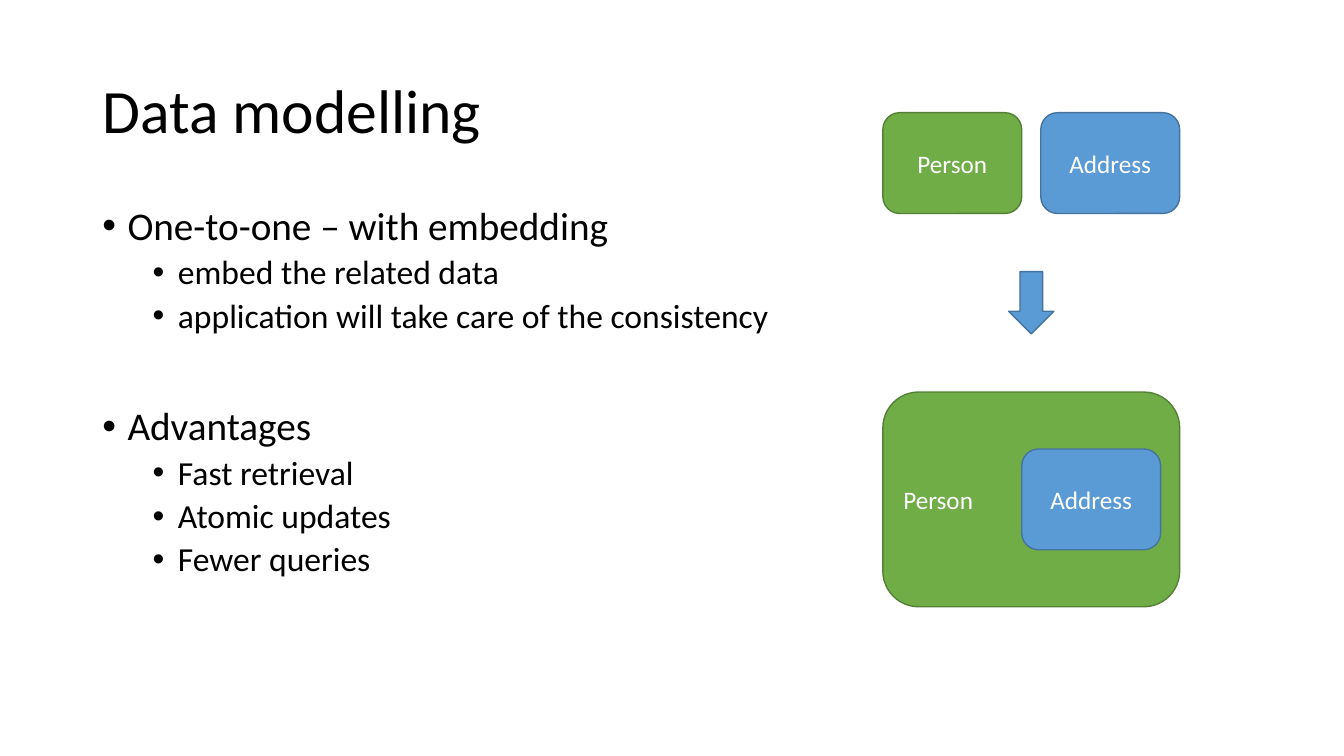
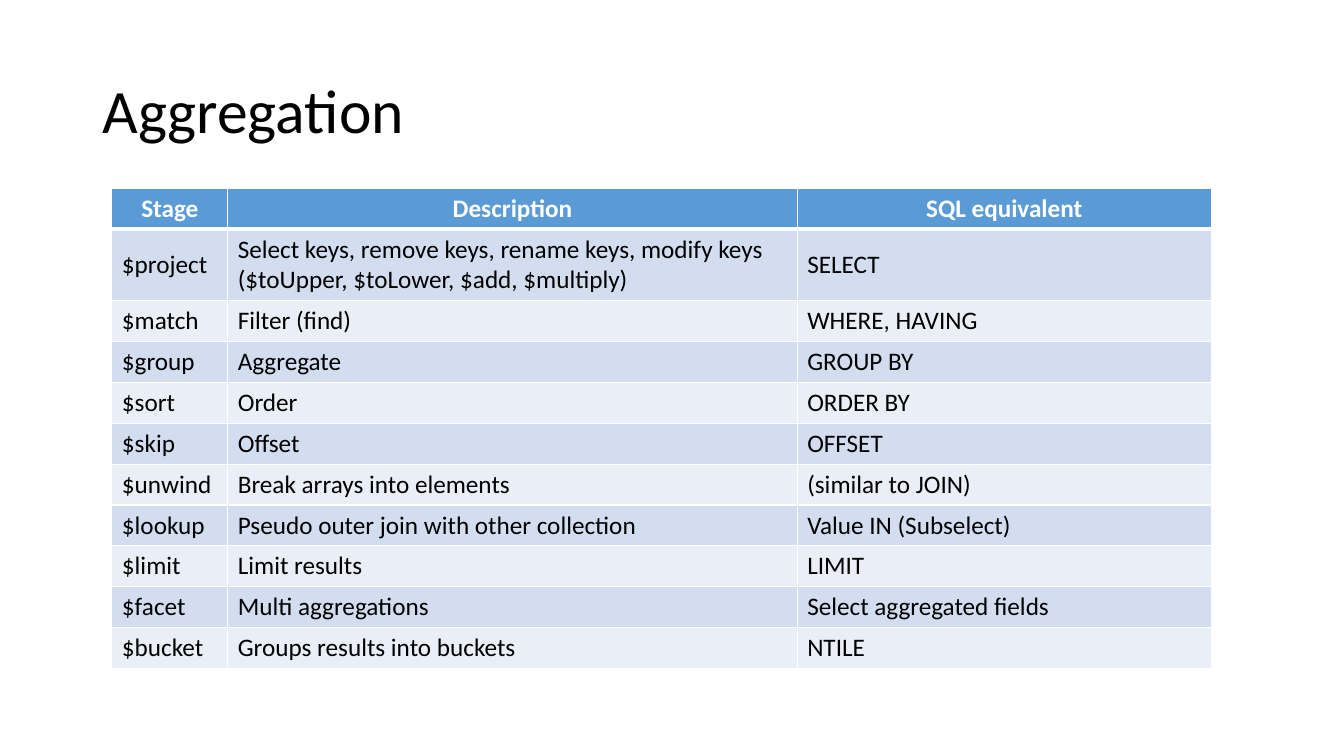
from lxml import etree
from pptx import Presentation
from pptx.dml.color import RGBColor
from pptx.enum.shapes import MSO_SHAPE
from pptx.enum.text import MSO_ANCHOR, MSO_AUTO_SIZE, PP_ALIGN
from pptx.oxml.ns import qn
from pptx.util import Cm, Pt

ROUNDED = MSO_SHAPE.ROUNDED_RECTANGLE
DOWN_ARROW = MSO_SHAPE.DOWN_ARROW
MIDDLE = MSO_ANCHOR.MIDDLE
LEFT, CENTER = PP_ALIGN.LEFT, PP_ALIGN.CENTER
NO_AUTOFIT = MSO_AUTO_SIZE.NONE

FONT = "Calibri"
BLACK, WHITE = "000000", "FFFFFF"
GREEN, GREEN_EDGE = "70AD47", "538035"
BLUE, BLUE_EDGE = "5B9BD5", "43739E"
BAND_DARK, BAND_LIGHT = "D2DEEF", "EAEFF7"

TEXT_LEFT, TEXT_WIDTH = 2.33, 29.21
LINE_SPACING = 0.9
BULLET_HANGING = 0.635
LEVELS = [
    {"size": 28, "before": 10, "indent": 0.635},
    {"size": 24, "before": 5, "indent": 1.905},
]
SECTION_GAP = 51

SECTIONS = [
    ("One-to-one – with embedding",
     ["embed the related data", "application will take care of the consistency"]),
    ("Advantages", ["Fast retrieval", "Atomic updates", "Fewer queries"]),
]

STAGES = [
    ("Stage", "Description", "SQL equivalent"),
    ("$project",
     "Select keys, remove keys, rename keys, modify keys\n($toUpper, $toLower, $add, $multiply)",
     "SELECT"),
    ("$match", "Filter (find)", "WHERE, HAVING"),
    ("$group", "Aggregate", "GROUP BY"),
    ("$sort", "Order", "ORDER BY"),
    ("$skip", "Offset", "OFFSET"),
    ("$unwind", "Break arrays into elements", "(similar to JOIN)"),
    ("$lookup", "Pseudo outer join with other collection", "Value IN (Subselect)"),
    ("$limit", "Limit results", "LIMIT"),
    ("$facet", "Multi aggregations", "Select aggregated fields"),
    ("$bucket", "Groups results into buckets", "NTILE"),
]
COLUMN_WIDTHS = [2.92, 14.35, 10.44]
ROW_HEIGHT, TWO_LINE_HEIGHT = 1.03, 1.79


def rgb(value):
    """Turn a hex string into a colour."""
    return RGBColor.from_string(value)


def place(shape, left, top, width, height):
    """Position a shape by lengths in centimetres."""
    shape.left, shape.top = Cm(left), Cm(top)
    shape.width, shape.height = Cm(width), Cm(height)


def add_run(paragraph, text, size, color, bold=False):
    """Append one formatted run."""
    run = paragraph.add_run()
    run.text = text
    run.font.name = FONT
    run.font.size = Pt(size)
    run.font.bold = bold
    run.font.color.rgb = rgb(color)


def add_titled_slide(prs, title):
    """Add a title-only slide in the shared title style."""
    slide = prs.slides.add_slide(prs.slide_layouts[5])
    heading = slide.shapes.title
    place(heading, TEXT_LEFT, 1.02, TEXT_WIDTH, 3.68)
    frame = heading.text_frame
    frame.auto_size = NO_AUTOFIT
    frame.vertical_anchor = MIDDLE
    paragraph = frame.paragraphs[0]
    paragraph.alignment = LEFT
    paragraph.line_spacing = LINE_SPACING
    add_run(paragraph, title, 44, BLACK)
    return slide


def format_bullet(paragraph, level, before):
    """Give a paragraph its bullet, hanging indent and spacing."""
    paragraph.level = level
    paragraph.line_spacing = LINE_SPACING
    paragraph.space_before = Pt(before)
    properties = paragraph._p.get_or_add_pPr()
    properties.set("marL", str(Cm(LEVELS[level]["indent"])))
    properties.set("indent", str(-Cm(BULLET_HANGING)))
    etree.SubElement(properties, qn("a:buFont"), typeface="Arial")
    etree.SubElement(properties, qn("a:buChar"), char="•")


def add_outline(slide, sections):
    """Add the two-level bullet list."""
    outline = slide.shapes.add_textbox(0, 0, 0, 0)
    place(outline, TEXT_LEFT, 5.08, 19.5, 12.09)
    frame = outline.text_frame
    frame.word_wrap = True
    entries = [(level, text) for heading, points in sections
               for level, text in [(0, heading)] + [(1, point) for point in points]]
    for index, (level, text) in enumerate(entries):
        paragraph = frame.add_paragraph() if index else frame.paragraphs[0]
        starts_later_section = index and level == 0
        before = SECTION_GAP if starts_later_section else LEVELS[level]["before"]
        format_bullet(paragraph, level, before)
        add_run(paragraph, text, LEVELS[level]["size"], BLACK)


def add_block(slide, kind, box, fill, edge, label="", alignment=CENTER):
    """Add a filled, outlined shape with an optional label."""
    block = slide.shapes.add_shape(kind, 0, 0, 0, 0)
    place(block, *box)
    block.shadow.inherit = False
    block.fill.solid()
    block.fill.fore_color.rgb = rgb(fill)
    block.line.color.rgb = rgb(edge)
    block.line.width = Pt(1)
    if label:
        block.text_frame.vertical_anchor = MIDDLE
        paragraph = block.text_frame.paragraphs[0]
        paragraph.alignment = alignment
        add_run(paragraph, label, 18, WHITE)


def add_embedding_diagram(slide):
    """Show two separate records becoming one nested record."""
    left, top, gap = 22.25, 2.84, 0.48
    record_width, record_height = 3.5, 2.54
    merged_top, merged_height = 9.88, 5.41
    arrow_width, arrow_height = 1.14, 1.57
    merged_width = 2 * record_width + gap
    nested_top = merged_top + (merged_height - record_height) / 2
    arrow_left = left + (merged_width - arrow_width) / 2
    arrow_top = (top + record_height + merged_top - arrow_height) / 2

    add_block(slide, ROUNDED, (left, top, record_width, record_height),
              GREEN, GREEN_EDGE, "Person")
    add_block(slide, ROUNDED, (left + record_width + gap, top, record_width, record_height),
              BLUE, BLUE_EDGE, "Address")
    add_block(slide, ROUNDED, (left, merged_top, merged_width, merged_height),
              GREEN, GREEN_EDGE, "Person", LEFT)
    add_block(slide, ROUNDED, (left + record_width, nested_top, record_width, record_height),
              BLUE, BLUE_EDGE, "Address")
    add_block(slide, DOWN_ARROW, (arrow_left, arrow_top, arrow_width, arrow_height),
              BLUE, BLUE_EDGE)


def set_borders(cell, top, bottom):
    """Draw white cell borders, with the top and bottom widths in points."""
    properties = cell._tc.get_or_add_tcPr()
    for side, width in (("L", 1), ("R", 1), ("T", top), ("B", bottom)):
        border = etree.SubElement(properties, qn(f"a:ln{side}"), w=str(Pt(width)))
        fill = etree.SubElement(border, qn("a:solidFill"))
        etree.SubElement(fill, qn("a:srgbClr"), val=WHITE)


def fill_cell(cell, text, row_index):
    """Write and style a cell according to its row."""
    is_header = row_index == 0
    set_borders(cell, 3 if row_index == 1 else 1, 3 if is_header else 1)
    band = BAND_DARK if row_index % 2 else BAND_LIGHT
    cell.fill.solid()
    cell.fill.fore_color.rgb = rgb(BLUE if is_header else band)
    cell.vertical_anchor = MIDDLE
    frame = cell.text_frame
    for index, line in enumerate(text.split("\n")):
        paragraph = frame.add_paragraph() if index else frame.paragraphs[0]
        paragraph.alignment = CENTER if is_header else LEFT
        add_run(paragraph, line, 18, WHITE if is_header else BLACK, is_header)


def add_stage_table(slide, rows):
    """Add the banded table of aggregation stages."""
    heights = [TWO_LINE_HEIGHT if any("\n" in text for text in row) else ROW_HEIGHT
               for row in rows]
    table = slide.shapes.add_table(
        len(rows), len(COLUMN_WIDTHS), Cm(2.82), Cm(4.74),
        Cm(sum(COLUMN_WIDTHS)), Cm(sum(heights))).table
    for column, width in zip(table.columns, COLUMN_WIDTHS):
        column.width = Cm(width)
    for row_index, (row, height) in enumerate(zip(rows, heights)):
        table.rows[row_index].height = Cm(height)
        for column_index, text in enumerate(row):
            fill_cell(table.cell(row_index, column_index), text, row_index)


def main():
    """Build and save the presentation."""
    prs = Presentation()
    prs.slide_width, prs.slide_height = Cm(33.87), Cm(19.05)

    modelling = add_titled_slide(prs, "Data modelling")
    add_outline(modelling, SECTIONS)
    add_embedding_diagram(modelling)

    aggregation = add_titled_slide(prs, "Aggregation")
    add_stage_table(aggregation, STAGES)

    prs.save("out.pptx")


if __name__ == "__main__":
    main()
